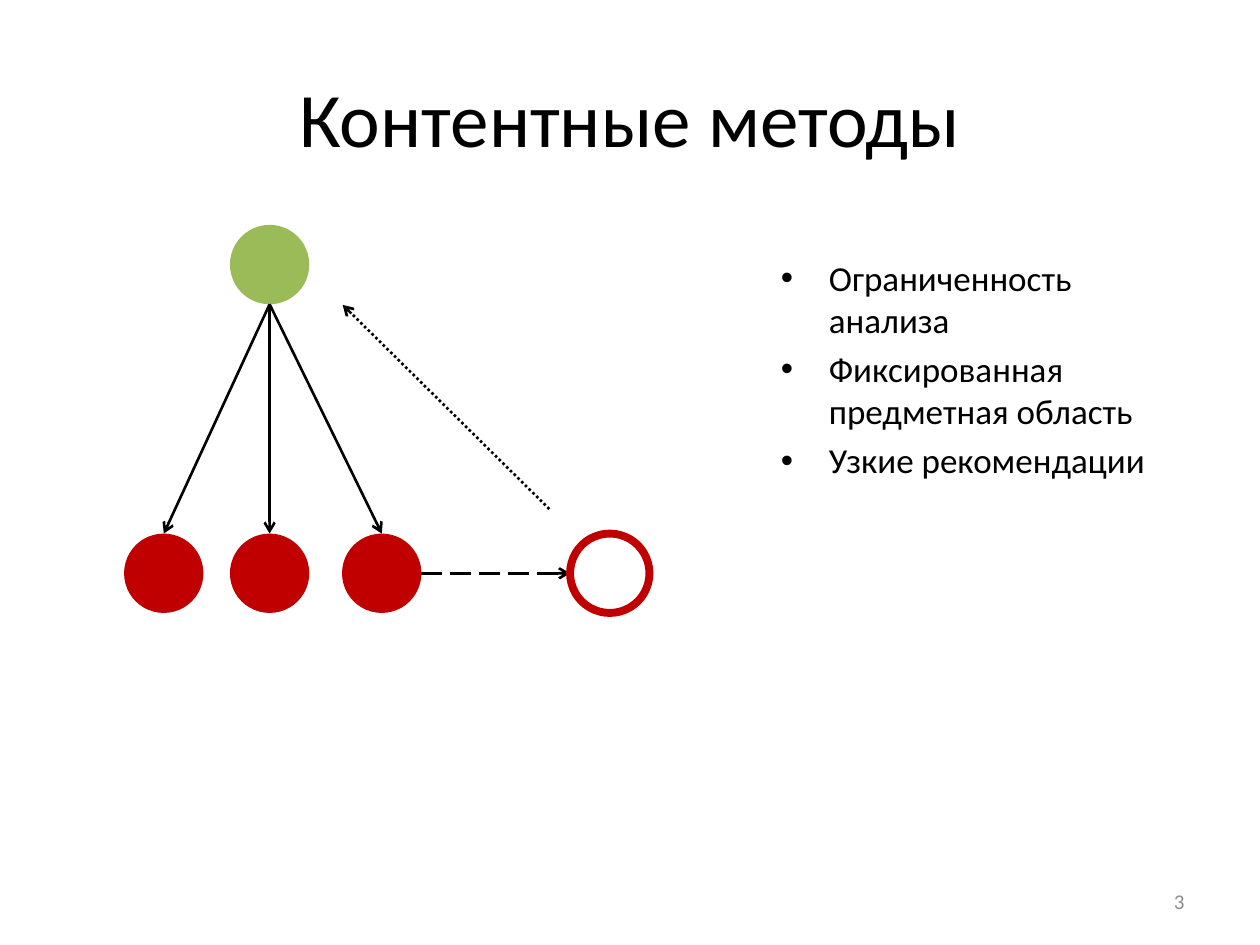
from dataclasses import dataclass

from lxml.etree import SubElement
from pptx import Presentation
from pptx.dml.color import RGBColor as Color
from pptx.enum.dml import MSO_LINE as Dash
from pptx.enum.shapes import MSO_CONNECTOR as Connector, MSO_SHAPE as Shape
from pptx.enum.text import MSO_ANCHOR as Anchor, PP_ALIGN as Align
from pptx.oxml.ns import qn
from pptx.util import Inches, Pt


@dataclass(frozen=True)
class Theme:
    font: str = "Calibri"
    text: str = "000000"
    muted: str = "8C8C8C"
    user: str = "9BBB59"
    item: str = "C00000"
    paper: str = "FFFFFF"
    title_size: int = 44
    body_size: int = 20
    number_size: int = 12
    arrow_width: float = 1.5
    ring_width: float = 4.5


class SlideBuilder:
    def __init__(self, slide, theme):
        self.slide = slide
        self.theme = theme

    def text(self, area, lines, size, color, align=Align.LEFT,
             anchor=Anchor.MIDDLE, bullet=None):
        box = self.slide.shapes.add_textbox(*map(Inches, area))
        frame = box.text_frame
        frame.word_wrap = True
        frame.vertical_anchor = anchor
        for index, line in enumerate(lines):
            para = frame.paragraphs[0] if index == 0 else frame.add_paragraph()
            para.text = line
            para.alignment = align
            if index:
                para.space_before = Pt(size * 0.2)
            if bullet:
                self.bullet(para, bullet)
            para.font.name = self.theme.font
            para.font.size = Pt(size)
            para.font.color.rgb = Color.from_string(color)

    def bullet(self, para, symbol):
        properties = para._p.get_or_add_pPr()
        properties.set("marL", str(Inches(0.38)))
        properties.set("indent", str(-Inches(0.38)))
        SubElement(properties, qn("a:buFont")).set("typeface", "Arial")
        SubElement(properties, qn("a:buChar")).set("char", symbol)

    def circle(self, center, diameter, fill, outline=None):
        left, top = (value - diameter / 2 for value in center)
        circle = self.slide.shapes.add_shape(
            Shape.OVAL, *map(Inches, (left, top, diameter, diameter)))
        circle.shadow.inherit = False
        circle.fill.solid()
        circle.fill.fore_color.rgb = Color.from_string(fill)
        if outline:
            circle.line.color.rgb = Color.from_string(outline)
            circle.line.width = Pt(self.theme.ring_width)
        else:
            circle.line.fill.background()

    def arrow(self, start, end, dash=None):
        arrow = self.slide.shapes.add_connector(
            Connector.STRAIGHT, *map(Inches, (*start, *end)))
        arrow.line.color.rgb = Color.from_string(self.theme.text)
        arrow.line.width = Pt(self.theme.arrow_width)
        if dash:
            arrow.line.dash_style = dash
        SubElement(arrow.line._ln, qn("a:tailEnd")).set("type", "arrow")
        SubElement(arrow._element.spPr, qn("a:effectLst"))


def main():
    deck = Presentation()
    deck.slide_width, deck.slide_height = Inches(10), Inches(7.5)
    theme = Theme()
    page = SlideBuilder(deck.slides.add_slide(deck.slide_layouts[6]), theme)

    page.text((0.5, 0.3, 9, 1.25), ["Контентные методы"],
              theme.title_size, theme.text, Align.CENTER)
    page.text((7.17, 6.95, 2.33, 0.4), ["3"],
              theme.number_size, theme.muted, Align.RIGHT)
    page.text((6.1, 1.99, 3.23, 2.7),
              ["Ограниченность анализа", "Фиксированная предметная область",
               "Узкие рекомендации"],
              theme.body_size, theme.text, anchor=Anchor.TOP, bullet="•")

    diameter = 0.63
    radius = diameter / 2
    user_x, user_y = 2.14, 2.1
    item_y = 4.55
    liked_items = (1.3, user_x, 3.03)
    suggested_x = 4.84

    page.circle((user_x, user_y), diameter, theme.user)
    for item_x in liked_items:
        page.circle((item_x, item_y), diameter, theme.item)
        page.arrow((user_x, user_y + radius), (item_x, item_y - radius))
    page.arrow((liked_items[-1] + radius, item_y),
               (suggested_x - radius, item_y), Dash.LONG_DASH)
    page.circle((suggested_x, item_y), diameter, theme.paper, theme.item)
    page.arrow((4.36, 4.04), (2.72, 2.42), Dash.ROUND_DOT)

    deck.save("out.pptx")


if __name__ == "__main__":
    main()
